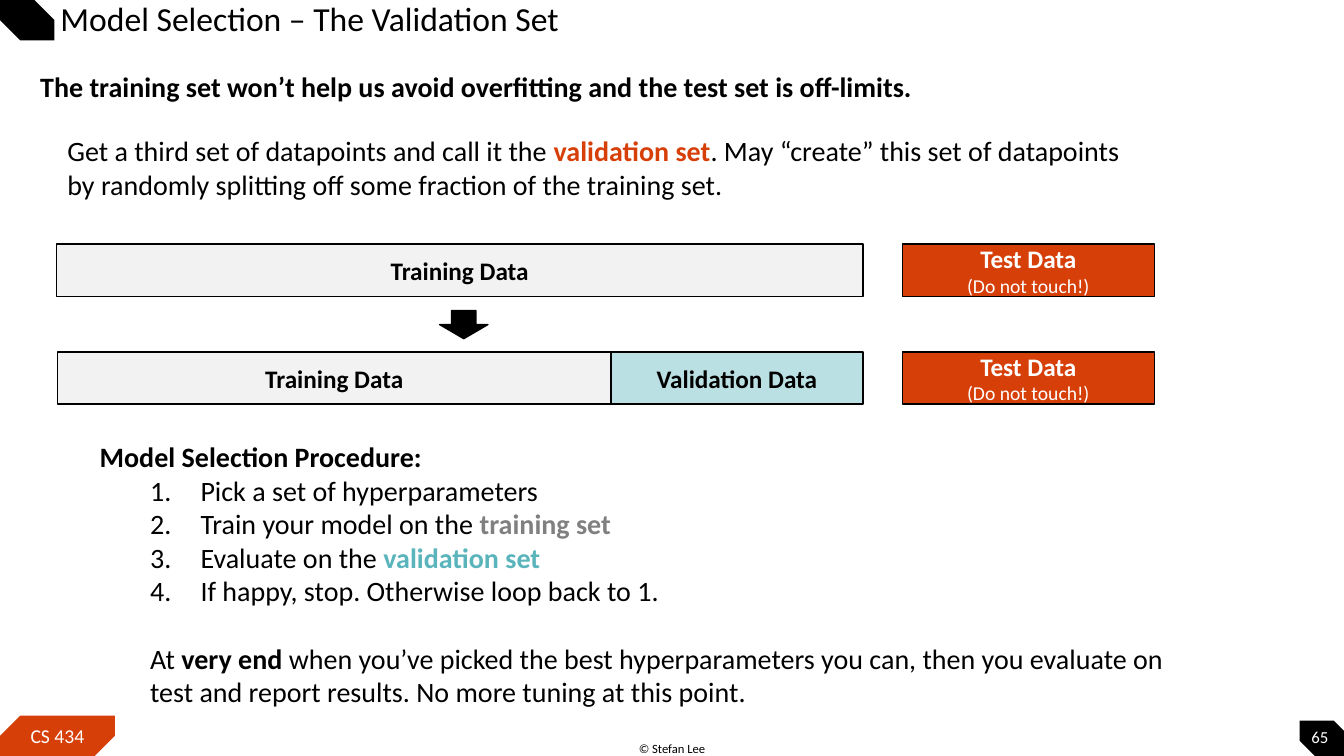
from lxml import etree
from pptx import Presentation
from pptx.dml.color import RGBColor
from pptx.enum.shapes import MSO_SHAPE
from pptx.enum.text import MSO_ANCHOR, PP_ALIGN
from pptx.oxml.ns import qn
from pptx.util import Emu, Pt

PX = 9144  # EMU per px, 100 px to the inch
FONT = "Calibri"

BLACK = RGBColor(0x00, 0x00, 0x00)
WHITE = RGBColor(0xFF, 0xFF, 0xFF)
ORANGE = RGBColor(0xD7, 0x3F, 0x09)
LIGHT_GRAY = RGBColor(0xF2, 0xF2, 0xF2)
GRAY = RGBColor(0x80, 0x80, 0x80)
PALE_TEAL = RGBColor(0xBB, 0xE0, 0xE3)
TEAL = RGBColor(0x59, 0xB4, 0xBB)

RECT = MSO_SHAPE.RECTANGLE
SNIP = MSO_SHAPE.SNIP_2_DIAG_RECTANGLE
ARROW = MSO_SHAPE.DOWN_ARROW
TOP, MIDDLE = MSO_ANCHOR.TOP, MSO_ANCHOR.MIDDLE
LEFT, CENTER = PP_ALIGN.LEFT, PP_ALIGN.CENTER


def px(n):
    return Emu(n * PX)


class SlideBuilder:
    """Holds the style and the slide being drawn."""

    def __init__(self, slide, font=FONT):
        self.slide = slide
        self.font = font

    def paragraph(self, p, runs, size, color=BLACK, align=LEFT):
        """Each run is (text, bold) or (text, bold, color)."""
        p.alignment = align
        for text, bold, *own_color in runs:
            r = p.add_run()
            r.text = text
            r.font.name = self.font
            r.font.size = Pt(size)
            r.font.bold = bold
            r.font.color.rgb = own_color[0] if own_color else color

    def indent(self, p, margin, hanging=0, numbered=False):
        pPr = p._p.get_or_add_pPr()
        pPr.set("marL", str(px(margin)))
        pPr.set("indent", str(px(-hanging)))
        if numbered:
            etree.SubElement(pPr, qn("a:buFont"), typeface="+mj-lt")
            etree.SubElement(pPr, qn("a:buAutoNum"), type="arabicPeriod")

    def text(self, x, y, w, h, runs, size=20, color=BLACK, align=LEFT,
             anchor=TOP, insets=(10, 5, 10, 5)):
        sp = self.slide.shapes.add_textbox(px(x), px(y), px(w), px(h))
        tf = sp.text_frame
        tf.word_wrap = True
        tf.vertical_anchor = anchor
        (tf.margin_left, tf.margin_top,
         tf.margin_right, tf.margin_bottom) = map(px, insets)
        self.paragraph(tf.paragraphs[0], runs, size, color, align)
        return tf

    def shape(self, kind, x, y, w, h, fill, outlined=True):
        sp = self.slide.shapes.add_shape(kind, px(x), px(y), px(w), px(h))
        sp.shadow.inherit = False
        sp.fill.solid()
        sp.fill.fore_color.rgb = fill
        if outlined:
            sp.line.color.rgb = BLACK
            sp.line.width = Pt(1)
        else:
            sp.line.fill.background()
        return sp

    def snip(self, x, y, w, h, fill, corners):
        sp = self.shape(SNIP, x, y, w, h, fill, outlined=False)
        sp.adjustments[0], sp.adjustments[1] = corners
        return sp

    def label(self, sp, lines, color):
        """Each line is (text, size, bold)."""
        tf = sp.text_frame
        tf.word_wrap = True
        tf.vertical_anchor = MIDDLE
        for i, (text, size, bold) in enumerate(lines):
            p = tf.add_paragraph() if i else tf.paragraphs[0]
            self.paragraph(p, [(text, bold)], size, color, CENTER)

    def bar(self, x, y, w, name, fill, color=BLACK, note=None):
        lines = [(name, 18, True)]
        if note:
            lines.append((note, 14, False))
        self.label(self.shape(RECT, x, y, w, 52, fill), lines, color)


def main():
    prs = Presentation()
    prs.slide_width, prs.slide_height = px(1333), px(750)
    s = SlideBuilder(prs.slides.add_slide(prs.slide_layouts[6]))

    # Corner decorations and footer
    s.snip(1289, 715, 54, 40, BLACK, (0, 0.5))
    s.snip(0, 0, 54, 40, BLACK, (0, 0.5))
    course = s.snip(0, 710, 114, 40, ORANGE, (0.5, 0))
    s.label(course, [("CS 434", 14, False)], WHITE)
    s.text(613, 730, 107, 25, [("© Stefan Lee", False)], 9, align=CENTER)
    s.text(1289, 715, 40, 31, [("65", False)], 12, WHITE, CENTER, MIDDLE,
           (0, 0, 0, 0))

    # Title
    tf = s.text(0, 1, 1132, 39, [("Model Selection – The Validation Set", False)],
                24, anchor=MIDDLE, insets=(60, 5, 5, 5))
    tf.paragraphs[0].line_spacing = 0.9

    # Introduction
    s.text(30, 64, 1075, 44, [
        ("The training set won’t help us avoid overfitting and the test set "
         "is off-limits.", True)])
    s.text(57, 128, 1075, 77, [
        ("Get a third set of datapoints and call it the ", False),
        ("validation set", True, ORANGE),
        (". May “create” this set of datapoints by randomly splitting off "
         "some fraction of the training set.", False)])

    # Data split before and after
    before, after = 242, 349
    s.bar(56, before, 800, "Training Data", LIGHT_GRAY)
    s.bar(57, after, 549, "Training Data", LIGHT_GRAY)
    s.bar(606, after, 250, "Validation Data", PALE_TEAL)
    for y in (before, after):
        s.bar(895, y, 250, "Test Data", ORANGE, WHITE, "(Do not touch!)")
    s.shape(ARROW, 436, 308, 48, 28, BLACK)

    # Procedure
    tf = s.text(89, 431, 1075, 279, [("Model Selection Procedure:", True)])
    steps = [
        [("Pick a set of hyperparameters", False)],
        [("Train your model on the ", False), ("training set", True, GRAY)],
        [("Evaluate on the ", False), ("validation set", True, TEAL)],
        [("If happy, stop. Otherwise loop back to 1.", False)],
    ]
    for runs in steps:
        p = tf.add_paragraph()
        s.indent(p, 100, 50, numbered=True)
        s.paragraph(p, runs, 20)

    # Closing remark
    p = tf.add_paragraph()
    s.indent(p, 50)
    p.space_before = Pt(24)
    s.paragraph(p, [
        ("At ", False), ("very end ", True),
        ("when you’ve picked the best hyperparameters you can, then you "
         "evaluate on test and report results. No more tuning at this point.",
         False)], 20)

    prs.save("out.pptx")


if __name__ == "__main__":
    main()
